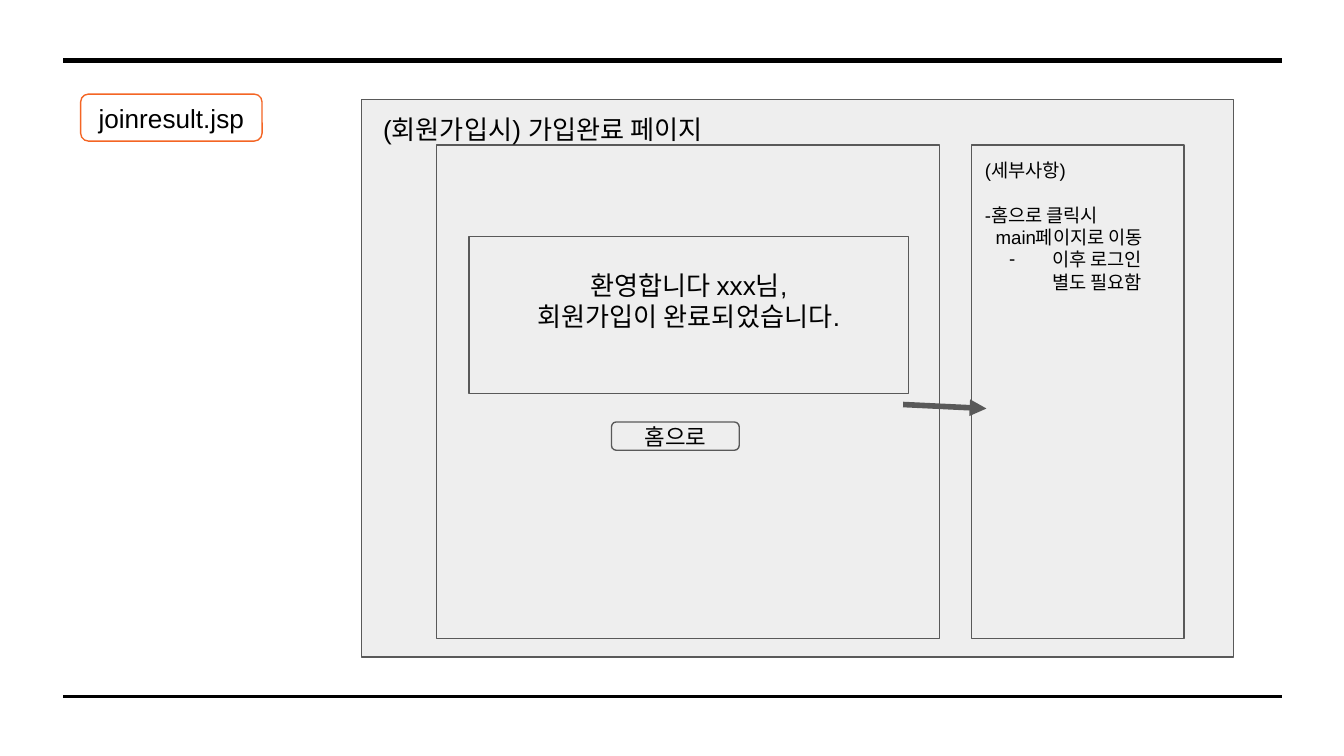
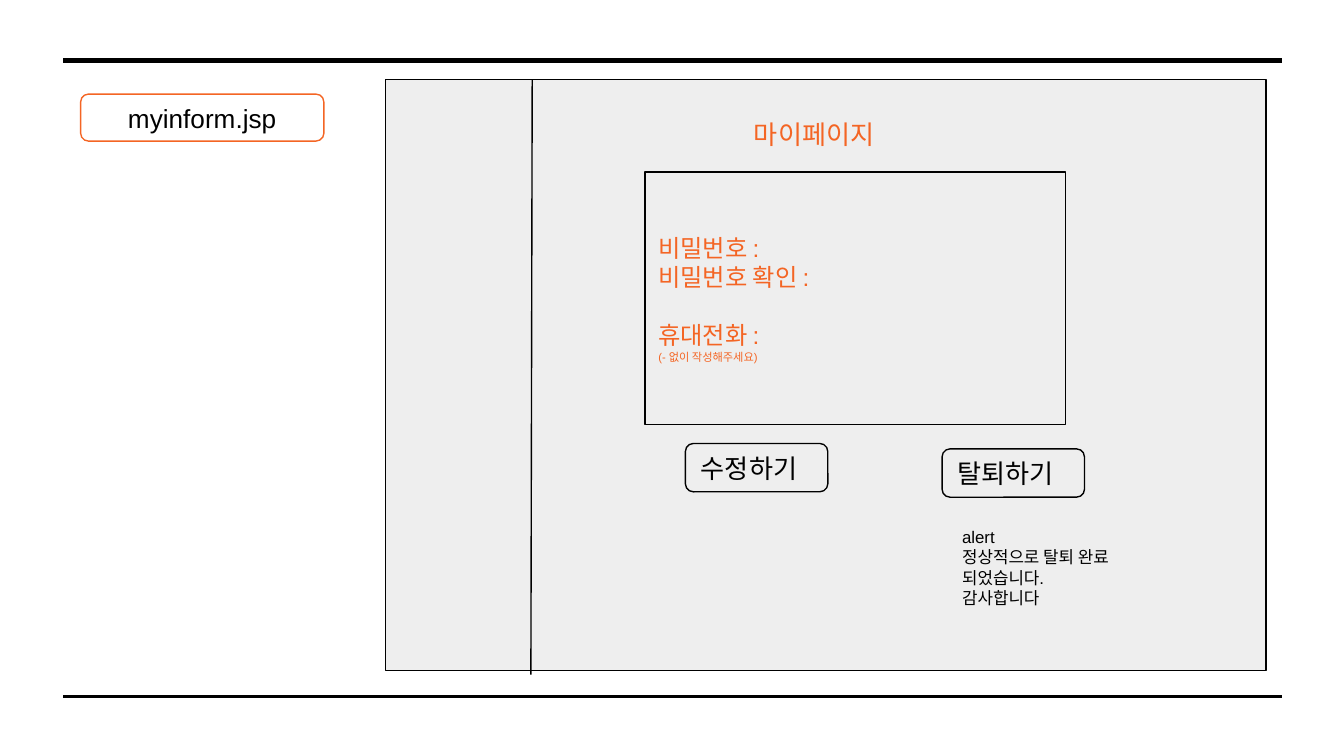
from lxml import etree
from pptx import Presentation
from pptx import util as u
from pptx.dml.color import RGBColor
from pptx.enum import shapes, text
from pptx.oxml.ns import qn

BLACK = RGBColor(0x00, 0x00, 0x00)
GRAY = RGBColor(0x59, 0x59, 0x59)
PANEL = RGBColor(0xEE, 0xEE, 0xEE)
ORANGE = RGBColor(0xF4, 0x65, 0x24)
FONT = "Arial"
SLIDE_WIDTH = u.Inches(10)
SLIDE_HEIGHT = u.Emu(SLIDE_WIDTH * 9 // 16)
RECT = shapes.MSO_SHAPE.RECTANGLE
ROUNDED = shapes.MSO_SHAPE.ROUNDED_RECTANGLE
LEFT, CENTER = text.PP_ALIGN.LEFT, text.PP_ALIGN.CENTER
TOP, MIDDLE = text.MSO_ANCHOR.TOP, text.MSO_ANCHOR.MIDDLE


def set_values(target, values):
    """Set each attribute named in a dict of format values."""
    for name, value in values.items():
        setattr(target, name, value)


def write(shape, lines, size, color=BLACK, align=LEFT, anchor=MIDDLE, bottom=0.1):
    """Fill a shape with paragraphs in one style and return them."""
    frame = shape.text_frame
    inset = u.Inches(0.1)
    set_values(frame, dict(word_wrap=True, auto_size=text.MSO_AUTO_SIZE.NONE,
                           vertical_anchor=anchor, margin_left=inset, margin_right=inset,
                           margin_top=inset, margin_bottom=u.Inches(bottom)))
    frame.text = "\n".join(lines)
    for paragraph in frame.paragraphs:
        paragraph.alignment = align
        for run in paragraph.runs:
            set_values(run.font, dict(name=FONT, size=u.Pt(size)))
            run.font.color.rgb = color
    return frame.paragraphs


def place(origin, box):
    """Turn a box relative to an origin into slide lengths."""
    left, top, width, height = box
    return [u.Inches(value) for value in (origin[0] + left, origin[1] + top, width, height)]


def add_box(slide, origin, box, line, kind=RECT, fill=PANEL):
    """Add an outlined box, unfilled if fill is None."""
    shape = slide.shapes.add_shape(kind, *place(origin, box))
    shape.shadow.inherit = False
    if fill is None:
        shape.fill.background()
    else:
        shape.fill.solid()
        shape.fill.fore_color.rgb = fill
    shape.line.color.rgb = line
    shape.line.width = u.Pt(0.75)
    return shape


def add_line(slide, start, end, color, width, arrow=False):
    """Add a straight line, with an arrowhead at its end if asked."""
    points = [u.Inches(value) for value in (*start, *end)]
    line = slide.shapes.add_connector(shapes.MSO_CONNECTOR.STRAIGHT, *points)
    line.line.color.rgb = color
    line.line.width = u.Pt(width)
    properties = line.element.spPr
    if arrow:
        etree.SubElement(properties.find(qn("a:ln")), qn("a:tailEnd"), type="triangle")
    etree.SubElement(properties, qn("a:effectLst"))


def add_heading(slide, origin, box, words, color):
    """Move the title placeholder into a panel, in front of it."""
    title = slide.shapes.title
    set_values(title, dict(zip(("left", "top", "width", "height"), place(origin, box))))
    write(title, [words], 14, color, anchor=TOP)
    slide.shapes.element.append(title.element)


def add_page(presentation, file_name, label_width):
    """Add a slide with its two rules and the file name label."""
    slide = presentation.slides.add_slide(presentation.slide_layouts[5])
    for top, width in ((5.18, 1.5), (0.45, 3)):
        add_line(slide, (0.47, top), (9.54, top), BLACK, width)
    label = add_box(slide, (0.6, 0.7), (0, 0, label_width, 0.35), ORANGE, ROUNDED, None)
    write(label, [file_name], 14, align=CENTER)
    return slide


def add_dash(paragraph):
    """Give a paragraph a hanging dash bullet."""
    properties = paragraph._p.get_or_add_pPr()
    properties.set("marL", str(u.Inches(0.5)))
    properties.set("indent", str(u.Inches(-0.32)))
    color = etree.SubElement(properties, qn("a:buClr"))
    etree.SubElement(color, qn("a:srgbClr"), val=str(BLACK))
    etree.SubElement(properties, qn("a:buFont"), typeface=FONT)
    etree.SubElement(properties, qn("a:buChar"), char="-")


def add_details(slide, origin, box):
    """Add the column of notes beside the screen."""
    column = add_box(slide, origin, box, GRAY)
    lines = ["(세부사항)", "-홈으로 클릭시", "main페이지로 이동", "이후 로그인 별도 필요함"]
    paragraphs = write(column, lines, 10, anchor=TOP)
    paragraphs[1].space_before = u.Pt(12)
    paragraphs[2]._p.get_or_add_pPr().set("marL", str(u.Inches(0.08)))
    add_dash(paragraphs[3])


def add_join_result(slide, left, top, width, height):
    """Draw the screen shown once joining is complete."""
    origin = (left, top)
    add_box(slide, origin, (0, 0, width, height), GRAY)
    add_box(slide, origin, (0.56, 0.34, 3.74, 3.67), GRAY)
    add_heading(slide, origin, (0.06, 0, 6.19, 0.44), "(회원가입시) 가입완료 페이지", BLACK)
    welcome = add_box(slide, origin, (0.8, 1.02, 3.27, 1.17), GRAY)
    write(welcome, ["환영합니다 xxx님,", "회원가입이 완료되었습니다."], 14,
          align=CENTER, bottom=0.32)
    add_details(slide, origin, (4.54, 0.34, 1.58, 3.67))
    add_line(slide, (left + 4.03, top + 2.27), (left + 4.65, top + 2.3), GRAY, 3, arrow=True)
    home = add_box(slide, origin, (1.86, 2.4, 0.95, 0.21), GRAY, ROUNDED)
    write(home, ["홈으로"], 12, align=CENTER)


def add_my_page(slide, left, top, width, height):
    """Draw the member page with its form, buttons and alert."""
    origin = (left, top)
    add_box(slide, origin, (0, 0, width, height), BLACK)
    add_heading(slide, origin, (2.64, 0.19, 1.3, 0.44), "마이페이지", ORANGE)
    add_line(slide, (left + 1.09, top), (left + 1.08, top + 4.43), BLACK, 0.75)
    for words, x, y in (("수정하기", 2.23, 2.71), ("탈퇴하기", 4.14, 2.75)):
        button = add_box(slide, origin, (x, y, 1.06, 0.36), BLACK, ROUNDED)
        write(button, [words], 14)
    form = add_box(slide, origin, (1.93, 0.69, 3.13, 1.88), BLACK)
    lines = ["비밀번호 :", "비밀번호 확인 :", "휴대전화 :", "(- 없이 작성해주세요)"]
    paragraphs = write(form, lines, 13, ORANGE)
    paragraphs[2].space_before = u.Pt(15.5)
    paragraphs[3].runs[0].font.size = u.Pt(6)
    alert = slide.shapes.add_textbox(*place(origin, (4.19, 3.23, 1.78, 0.81)))
    write(alert, ["alert", "정상적으로 탈퇴 완료 되었습니다.", "감사합니다"], 9, anchor=TOP)


presentation = Presentation()
set_values(presentation, dict(slide_width=SLIDE_WIDTH, slide_height=SLIDE_HEIGHT))
add_join_result(add_page(presentation, "joinresult.jsp", 1.35), 2.69, 0.74, 6.49, 4.15)
add_my_page(add_page(presentation, "myinform.jsp", 1.81), 2.87, 0.59, 6.55, 4.4)
presentation.save("out.pptx")
